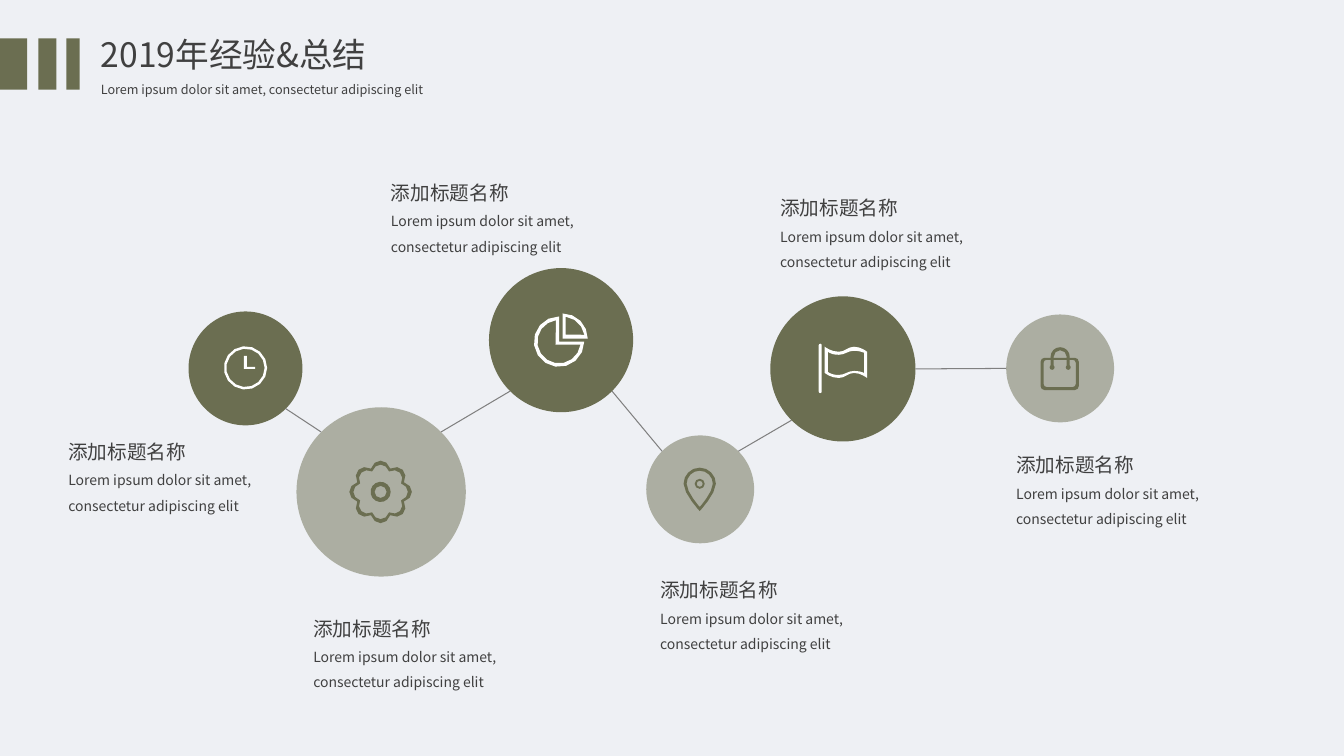
from dataclasses import dataclass
from math import cos, pi, radians, sin

from lxml.etree import SubElement
from pptx import Presentation
from pptx.dml.color import RGBColor
from pptx.enum.shapes import MSO_CONNECTOR, MSO_SHAPE
from pptx.enum.text import MSO_ANCHOR, MSO_AUTO_SIZE, PP_ALIGN
from pptx.oxml.ns import qn
from pptx.util import Inches, Pt

OLIVE = RGBColor(0x6B, 0x6E, 0x51)
WHITE = RGBColor(0xFF, 0xFF, 0xFF)
GREY = RGBColor(0x80, 0x80, 0x80)
TEXT = RGBColor(0x40, 0x40, 0x40)
BACKGROUND = RGBColor(0xEE, 0xF0, 0xF4)
FONT = "Noto Sans CJK SC"
HEADING = "添加标题名称"
LOREM = "Lorem ipsum dolor sit amet, consectetur adipiscing elit"

Point = tuple[float, float]
Contour = list[Point]


# Contour helpers, all in inches
def arc(cx: float, cy: float, radius: float, start: float = 0, end: float = 360) -> Contour:
    """Points clockwise from the right-hand side, angles in degrees."""
    steps = max(2, round(abs(end - start) / (45 if radius < 0.08 else 24)))
    angles = [radians(start + (end - start) * i / steps) for i in range(steps + 1)]
    return [(cx + radius * cos(a), cy + radius * sin(a)) for a in angles]


def spline(*points: Point) -> Contour:
    """Joined cubic curves: a start point, then three points per curve."""
    curve = [points[0]]
    for i in range(0, len(points) - 1, 3):
        for t in (n / 4 for n in range(1, 5)):
            weights = ((1 - t) ** 3, 3 * t * (1 - t) ** 2, 3 * t * t * (1 - t), t ** 3)
            group = list(zip(weights, points[i:i + 4]))
            curve.append((sum(w * p[0] for w, p in group), sum(w * p[1] for w, p in group)))
    return curve


def rounded(left: float, top: float, right: float, bottom: float, radius: float) -> Contour:
    corners = ((right - radius, bottom - radius), (left + radius, bottom - radius),
               (left + radius, top + radius), (right - radius, top + radius))
    return [p for i, (x, y) in enumerate(corners) for p in arc(x, y, radius, 90 * i, 90 * i + 90)]


def gear_rim(cx: float, cy: float, radius: float, notch: float) -> Contour:
    """Eight broad teeth with narrow notches between them."""
    rim = []
    for i in range(32):
        a = 2 * pi * i / 32
        r = radius - notch * sin(4 * a) ** 4
        rim.append((cx + r * cos(a), cy + r * sin(a)))
    return rim


def drop(cx: float, cy: float, radius: float, tip: float) -> Contour:
    bend = cy + 0.37 * (tip - cy)
    right = spline((cx + radius, cy), (cx + radius, bend), (cx, tip), (cx, tip))
    left = [(2 * cx - x, y) for x, y in reversed(right)]
    return arc(cx, cy, radius, 180, 360) + right[1:] + left[1:]


def banner(edge: Contour, height: float) -> Contour:
    return edge + [(x, y + height) for x, y in reversed(edge)]


def bag_stud(x: float) -> Contour:
    return arc(x, 3.645, 0.025, -53, 233) + [(x - 0.015, 3.57), (x + 0.015, 3.57)]


CLOCK = [arc(2.435, 3.65, 0.215), arc(2.435, 3.65, 0.19),
         [(2.42, 3.53), (2.45, 3.53), (2.45, 3.64), (2.53, 3.64), (2.53, 3.66), (2.42, 3.66)]]
GEAR = [gear_rim(3.775, 4.88, 0.31, 0.06), gear_rim(3.775, 4.88, 0.27, 0.05),
        arc(3.775, 4.88, 0.1), arc(3.775, 4.88, 0.06)]
PIE = [arc(5.545, 3.39, 0.25, 0, 270) + [(5.545, 3.39)],
       arc(5.545, 3.39, 0.215, 8, 262) + [(5.51, 3.42)],
       arc(5.58, 3.36, 0.25, 270, 360) + [(5.58, 3.36)],
       arc(5.58, 3.36, 0.22, 278, 350) + [(5.61, 3.32)]]
PIN = [drop(6.94, 4.8, 0.16, 5.07), drop(6.94, 4.8, 0.13, 5.03),
       arc(6.94, 4.8, 0.05), arc(6.94, 4.8, 0.03)]
FLAG = [rounded(8.12, 3.41, 8.15, 3.9, 0.015),
        banner(spline((8.18, 3.44), (8.18, 3.44), (8.24, 3.49), (8.32, 3.49), (8.38, 3.49),
                      (8.41, 3.44), (8.47, 3.44), (8.54, 3.44), (8.6, 3.49), (8.6, 3.49)), 0.26),
        banner(spline((8.21, 3.49), (8.24, 3.51), (8.27, 3.52), (8.32, 3.52), (8.38, 3.52),
                      (8.41, 3.48), (8.47, 3.48), (8.51, 3.48), (8.55, 3.49), (8.57, 3.5)), 0.2)]
BAG = [rounded(10.32, 3.55, 10.7, 3.87, 0.04), rounded(10.35, 3.57, 10.67, 3.84, 0.03),
       arc(10.515, 3.54, 0.095, 180, 360) + [(10.61, 3.55), (10.58, 3.55)]
       + arc(10.515, 3.54, 0.065, 360, 180) + [(10.45, 3.55), (10.42, 3.55)],
       bag_stud(10.435), bag_stud(10.595)]


@dataclass
class Milestone:
    left: float
    top: float
    size: float
    pale: bool
    icon: list[Contour]
    text_at: Point
    exit_angle: float = 0  # where the link to the next circle leaves

    def rim(self, angle: float) -> Point:
        r = self.size / 2
        return (self.left + r + r * cos(radians(angle)), self.top + r + r * sin(radians(angle)))


MILESTONES = [
    Milestone(1.87, 3.09, 1.13, False, CLOCK, (0.58, 4.2), 45),
    Milestone(2.94, 4.04, 1.68, True, GEAR, (3.01, 5.95), -45),
    Milestone(4.85, 2.66, 1.43, False, PIE, (3.78, 1.63), 45),
    Milestone(6.41, 4.32, 1.07, True, PIN, (6.45, 5.57), -45),
    Milestone(7.64, 2.94, 1.44, False, FLAG, (7.64, 1.78)),
    Milestone(9.98, 3.12, 1.07, True, BAG, (9.98, 4.33)),
]


# Drawing functions
def paint(sp, color: RGBColor) -> None:
    sp.shadow.inherit = False
    sp.fill.solid()
    sp.fill.fore_color.rgb = color
    sp.line.fill.background()


def add_solid(shapes, kind: MSO_SHAPE, left: float, top: float, width: float, height: float):
    sp = shapes.add_shape(kind, *map(Inches, (left, top, width, height)))
    paint(sp, OLIVE)
    return sp


def add_icon(shapes, contours: list[Contour], color: RGBColor) -> None:
    outlines = [[(Inches(x), Inches(y)) for x, y in c] for c in contours]
    builder = shapes.build_freeform(*outlines[0][0], scale=1.0)
    for i, outline in enumerate(outlines):
        if i:
            builder.move_to(*outline[0])
        builder.add_line_segments(outline[1:], close=True)
    paint(builder.convert_to_shape(), color)


def write(sp, lines: list[tuple[str, float]], spacing: float, anchor: MSO_ANCHOR) -> None:
    tf = sp.text_frame
    frame_format = {"word_wrap": True, "auto_size": MSO_AUTO_SIZE.SHAPE_TO_FIT_TEXT,
                    "vertical_anchor": anchor}
    for name, value in frame_format.items():
        setattr(tf, name, value)
    for i, (text, size) in enumerate(lines):
        p = tf.add_paragraph() if i else tf.paragraphs[0]
        for name, value in {"alignment": PP_ALIGN.LEFT, "line_spacing": spacing,
                            "space_before": Pt(0)}.items():
            setattr(p, name, value)
        r = p.add_run()
        r.text = text
        for name, value in {"name": FONT, "size": Pt(size), "bold": False}.items():
            setattr(r.font, name, value)
        r.font.color.rgb = TEXT
        SubElement(r._r.get_or_add_rPr(), qn("a:ea"), typeface=FONT)


def place(sp, left: float, top: float, width: float, height: float) -> None:
    for name, value in zip(("left", "top", "width", "height"), (left, top, width, height)):
        setattr(sp, name, Inches(value))


def add_link(shapes, start: Point, end: Point) -> None:
    link = shapes.add_connector(MSO_CONNECTOR.STRAIGHT, *map(Inches, start + end))
    link.line.color.rgb = GREY
    link.line.width = Pt(0.75)
    SubElement(link._element.spPr, qn("a:effectLst"))


def main() -> None:
    prs = Presentation()
    prs.slide_width, prs.slide_height = Inches(13.33), Inches(7.5)
    s = prs.slides.add_slide(prs.slide_layouts[0])
    s.background.fill.solid()
    s.background.fill.fore_color.rgb = BACKGROUND

    # Header
    title, subtitle = s.placeholders
    place(title, 0.9, 0.28, 6.35, 0.51)
    write(title, [("2019年经验&总结", 24)], 1.0, MSO_ANCHOR.MIDDLE)
    place(subtitle, 0.9, 0.69, 3.8, 0.3)
    write(subtitle, [(LOREM, 9)], 1.5, MSO_ANCHOR.TOP)
    for left, width in ((0, 0.27), (0.38, 0.18), (0.66, 0.13)):
        add_solid(s.shapes, MSO_SHAPE.RECTANGLE, left, 0.38, width, 0.51)

    # Links between neighbouring circles
    for m, following in zip(MILESTONES, MILESTONES[1:]):
        add_link(s.shapes, m.rim(m.exit_angle), following.rim(m.exit_angle + 180))

    # Circles with icons and captions
    for m in MILESTONES:
        sp = add_solid(s.shapes, MSO_SHAPE.OVAL, m.left, m.top, m.size, m.size)
        if m.pale:
            color = sp._element.spPr.find(qn("a:solidFill")).find(qn("a:srgbClr"))
            SubElement(color, qn("a:alpha"), val="50000")
        add_icon(s.shapes, m.icon, OLIVE if m.pale else WHITE)
        caption = s.shapes.add_textbox(*map(Inches, (*m.text_at, 2.4, 0.96)))
        write(caption, [(HEADING, 14), (LOREM, 10)], 1.5, MSO_ANCHOR.TOP)

    prs.save("out.pptx")


if __name__ == "__main__":
    main()
